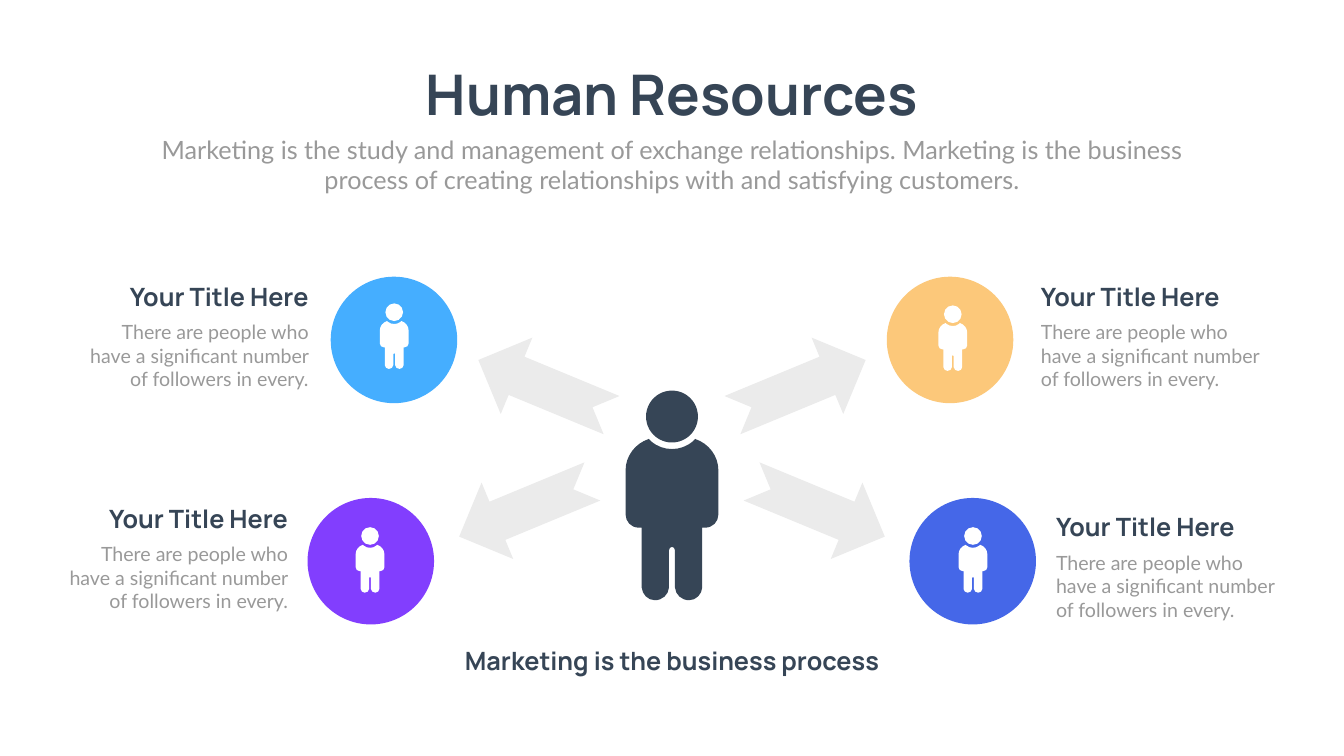
from dataclasses import dataclass

from lxml.etree import SubElement
from pptx import Presentation
from pptx.dml.color import RGBColor
from pptx.enum.shapes import MSO_SHAPE
from pptx.enum.text import MSO_ANCHOR, MSO_AUTO_SIZE, PP_ALIGN
from pptx.oxml.ns import qn
from pptx.util import Emu, Inches, Pt

COLORS = {
    "ink": "364556", "gray": "999999", "arrow": "EBEBEB", "white": "FFFFFF",
    "sky": "45AEFF", "amber": "FCC87A", "violet": "823EFE", "blue": "4567E8",
}
COLS, ROWS = 26.66, 15
MID = COLS / 2
DISC = 2.51
ARROW_W, ARROW_H, TILT = 2.86, 1.64, 22.5
BODY_W, BODY_H = 1.84, 3.2
HEADING = "Your Title Here"
DETAIL = "There are people who have a significant number of followers in every."

HALF_BODY = [
    [(0, 0.2), (0.15, 0.2), (0.29, 0.15), (0.41, 0.05)],
    [(0.46, 0), (0.73, 0.09), (0.92, 0.34), (0.92, 0.62)],
    [(0.92, 1.5), (0.92, 1.64), (0.81, 1.76), (0.66, 1.76)],
    [(0.6, 1.76)],
    [(0.6, 2.95), (0.59, 3.08), (0.48, 3.2), (0.34, 3.2)],
    [(0.34, 3.2), (0.19, 3.2), (0.07, 3.09), (0.06, 2.95)],
    [(0.06, 2.21), (0.06, 2.17), (0.03, 2.14), (0, 2.14)],
]


@dataclass
class Callout:
    color: str
    disc_x: float
    disc_y: float
    icon_x: float
    icon_y: float
    text_edge: float
    text_y: float
    align: PP_ALIGN


@dataclass
class Arrow:
    x: float
    y: float
    angle: float
    flips: tuple[str, ...] = ()


@dataclass
class Person:
    x: float
    y: float
    head: float
    neck: float
    w: float
    h: float
    color: str


CALLOUTS = [
    Callout("violet", 6.1, 9.88, 7.34, 10.46, 5.81, 9.93, PP_ALIGN.RIGHT),
    Callout("blue", 18.04, 9.88, 19.3, 10.46, 20.85, 10.1, PP_ALIGN.LEFT),
    Callout("sky", 6.56, 5.49, 7.82, 6.02, 6.22, 5.53, PP_ALIGN.RIGHT),
    Callout("amber", 17.59, 5.49, 18.9, 6.06, 20.55, 5.53, PP_ALIGN.LEFT),
]
ARROWS = [
    Arrow(MID + 2.52, 7.69, -TILT),
    Arrow(MID - 2.52, 7.69, TILT, ("flipH",)),
    Arrow(MID + 2.9, 10.1, TILT, ("flipV",)),
    Arrow(MID - 2.9, 10.1, -TILT, ("flipH", "flipV")),
]


def grid(n: float) -> Emu:
    return Inches(n)


def paint(sp, color: str) -> None:
    sp.shadow.inherit = False
    sp.fill.solid()
    sp.fill.fore_color.rgb = RGBColor.from_string(COLORS[color])
    sp.line.fill.background()


def add_preset(s, kind: MSO_SHAPE, x: float, y: float, w: float, h: float, color: str):
    sp = s.shapes.add_shape(kind, grid(x), grid(y), grid(w), grid(h))
    paint(sp, color)
    return sp


def write(sp, text: str, *, x: float, y: float, w: float, h: float, size: float,
          font: str = "Manrope", color: str = "ink", bold: bool = True,
          align: PP_ALIGN = PP_ALIGN.CENTER, wrap: bool = True) -> None:
    sp.left, sp.top, sp.width, sp.height = grid(x), grid(y), grid(w), grid(h)
    tf = sp.text_frame
    tf.word_wrap = wrap
    tf.auto_size = MSO_AUTO_SIZE.SHAPE_TO_FIT_TEXT
    tf.vertical_anchor = MSO_ANCHOR.TOP
    p = tf.paragraphs[0]
    p.alignment = align
    p.line_spacing = 1.0
    p.space_before = Pt(0)
    r = p.add_run()
    r.text = text
    r.font.name, r.font.size, r.font.bold = font, Pt(size), bold
    r.font.color.rgb = RGBColor.from_string(COLORS[color])


def add_text(s, text: str, **fmt) -> None:
    write(s.shapes.add_textbox(0, 0, 0, 0), text, **fmt)


def add_step(path, tag: str, pts: list) -> None:
    step = SubElement(path, qn(tag))
    for x, y in pts:
        SubElement(step, qn("a:pt"), x=str(x), y=str(y))


def draw_body(s, person: Person) -> None:
    outline = HALF_BODY + [[(-x, y) for x, y in reversed(c)] for c in reversed(HALF_BODY)]
    curves = [[(grid(person.x + x * person.w / BODY_W),
                grid(person.y + person.neck + y * person.h / BODY_H)) for x, y in c]
              for c in outline]
    ends = [pt for c in curves for pt in (c[0], c[-1])]
    fb = s.shapes.build_freeform(*ends[0])
    fb.add_line_segments(ends[1:], close=True)
    sp = fb.convert_to_shape()
    paint(sp, person.color)
    path = next(sp.element.iter(qn("a:path")))
    for step in list(path):
        path.remove(step)
    last = None
    for c in curves:
        pts = [(x - sp.left, y - sp.top) for x, y in c]
        if pts[0] != last:
            add_step(path, "a:lnTo" if last else "a:moveTo", pts[:1])
        if len(pts) == 4:
            add_step(path, "a:cubicBezTo", pts[1:])
        last = pts[-1]
    SubElement(path, qn("a:close"))


def draw_person(s, person: Person) -> None:
    draw_body(s, person)
    add_preset(s, MSO_SHAPE.OVAL, person.x - person.head / 2, person.y,
               person.head, person.head, person.color)


def draw_arrow(s, arrow: Arrow) -> None:
    sp = add_preset(s, MSO_SHAPE.NOTCHED_RIGHT_ARROW, arrow.x - ARROW_W / 2,
                    arrow.y - ARROW_H / 2, ARROW_W, ARROW_H, "arrow")
    sp.rotation = arrow.angle
    for flip in arrow.flips:
        sp.element.spPr.find(qn("a:xfrm")).set(flip, "1")


def draw_caption(s, c: Callout) -> None:
    shift = 1 if c.align == PP_ALIGN.RIGHT else 0
    add_text(s, DETAIL, x=c.text_edge - 4.8 * shift, y=c.text_y + 0.775, w=4.8, h=1.51,
             size=28, font="Lato", color="gray", bold=False, align=c.align)
    add_text(s, HEADING, x=c.text_edge - 5.46 * shift, y=c.text_y, w=5.46, h=0.71,
             size=36, align=c.align)


def main() -> None:
    prs = Presentation()
    prs.slide_width, prs.slide_height = grid(COLS), grid(ROWS)
    s = prs.slides.add_slide(prs.slide_layouts[0])
    write(s.shapes.title, "Human Resources", x=7.97, y=1.14, w=10.72, h=1.45, size=80,
          wrap=False)
    write(s.placeholders[1],
          "Marketing is the study and management of exchange relationships. Marketing is "
          "the business process of creating relationships with and satisfying customers.",
          x=2.92, y=2.61, w=20.82, h=1.31, size=36, font="Lato", color="gray", bold=False)
    for c in CALLOUTS:
        add_preset(s, MSO_SHAPE.OVAL, c.disc_x, c.disc_y, DISC, DISC, c.color)
    draw_person(s, Person(MID, 7.75, 1.03, 0.96, BODY_W, BODY_H, "ink"))
    for arrow in ARROWS:
        draw_arrow(s, arrow)
    for c in CALLOUTS:
        draw_caption(s, c)
        draw_person(s, Person(c.icon_x, c.icon_y, 0.35, 0.35, 0.57, 0.95, "white"))
    add_text(s, "Marketing is the business process", x=7.97, y=12.76, w=10.72, h=0.71, size=36)
    prs.save("out.pptx")


if __name__ == "__main__":
    main()
